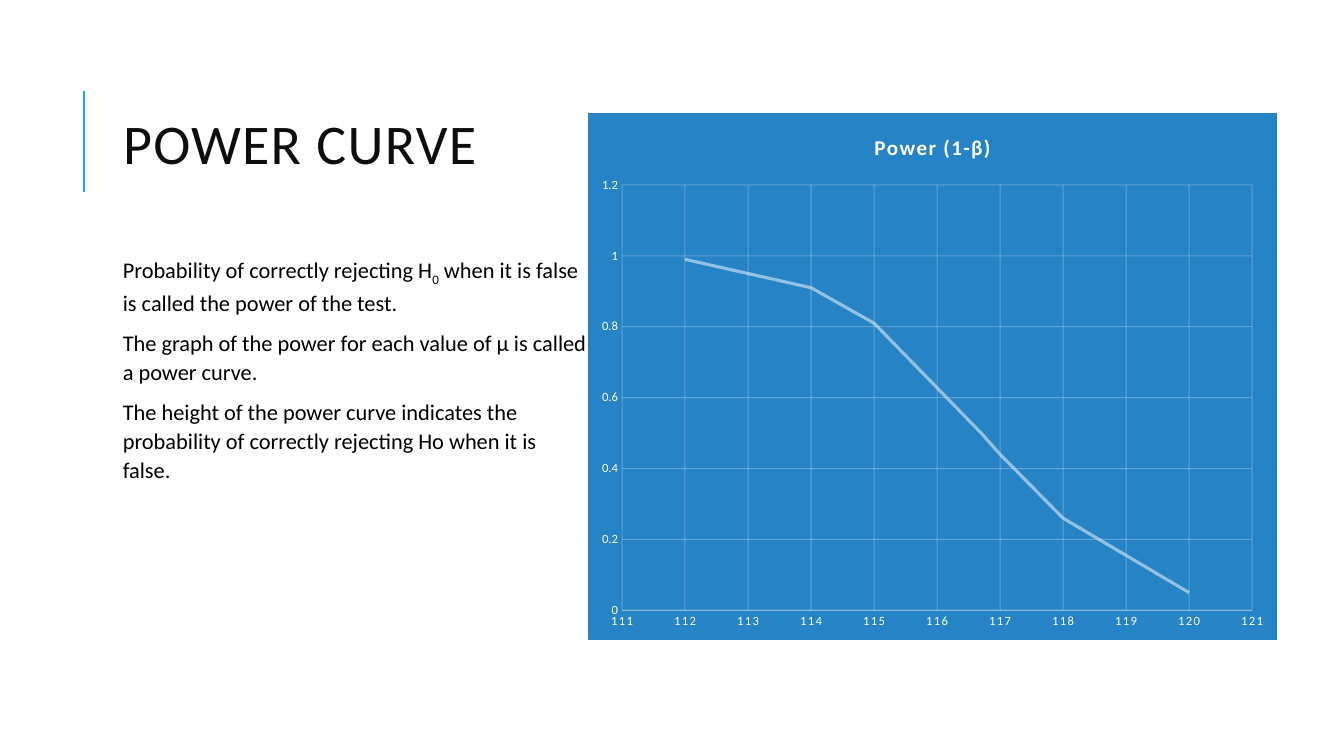
from dataclasses import dataclass

from lxml import etree
from pptx import Presentation
from pptx.chart.data import XyChartData
from pptx.dml.color import RGBColor
from pptx.enum.chart import XL_CHART_TYPE, XL_TICK_LABEL_POSITION, XL_TICK_MARK
from pptx.enum.shapes import MSO_CONNECTOR
from pptx.enum.text import MSO_ANCHOR, PP_ALIGN
from pptx.oxml import parse_xml
from pptx.oxml.ns import nsdecls, qn
from pptx.util import Emu, Pt

SMOOTH_SCATTER = XL_CHART_TYPE.XY_SCATTER_SMOOTH_NO_MARKERS
NO_TICK = XL_TICK_MARK.NONE
LOW_LABELS = XL_TICK_LABEL_POSITION.NEXT_TO_AXIS
STRAIGHT = MSO_CONNECTOR.STRAIGHT
MIDDLE, TOP = MSO_ANCHOR.MIDDLE, MSO_ANCHOR.TOP
LEFT = PP_ALIGN.LEFT
EMU_PER_PX = 9144


@dataclass(frozen=True)
class Theme:
    """Colours and type sizes of the slide."""
    font: str = "Calibri"
    accent: str = "1CADE4"
    panel: str = "2683C6"
    light: str = "FFFFFF"
    heading: str = "0D0D0D"
    ink: str = "000000"
    title_size: int = 40
    body_size: int = 16
    chart_title_size: int = 15
    label_size: int = 9


THEME = Theme()
CHART_TITLE = "Power (1-β)"
POWER_POINTS = [(112, 0.99), (114, 0.91), (115, 0.81), (116.7, 0.5),
                (117, 0.44), (118, 0.26), (120, 0.05)]
BODY = [
    [("Probability of correctly rejecting H", False), ("0", True),
     (" when it is false is called the power of the test.", False)],
    [("The graph of the power for each value of μ is called a power curve.", False)],
    [("The height of the power curve indicates the probability of correctly "
      "rejecting Ho when it is false.", False)],
]


def px(*lengths):
    """Turn px lengths into EMU."""
    return [Emu(length * EMU_PER_PX) for length in lengths]


def assign(target, values):
    """Set attributes from a dict of format values."""
    for name, value in values.items():
        setattr(target, name, value)


def style_font(font, size, color, bold=False):
    """Give a font the theme face, a size and a colour."""
    assign(font, {"name": THEME.font, "size": Pt(size), "bold": bold})
    font.color.rgb = RGBColor.from_string(color)


def style_line(line, color, width, opacity=100):
    """Give a line its colour, width and opacity in percent."""
    line.color.rgb = RGBColor.from_string(color)
    line.width = Pt(width)
    if opacity < 100:
        fill = line.fill._xPr.find(".//" + qn("a:srgbClr"))
        etree.SubElement(fill, qn("a:alpha")).set("val", str(opacity * 1000))


def add_heading(page, text):
    """Place and format the title."""
    title = page.shapes.title
    assign(title, dict(zip(("left", "top", "width", "height"), px(112, 52, 480, 190))))
    frame = title.text_frame
    assign(frame, {"text": text, "vertical_anchor": MIDDLE, "word_wrap": True})
    para = frame.paragraphs[0]
    assign(para, {"alignment": LEFT, "line_spacing": 0.8})
    span = para.runs[0]
    style_font(span.font, THEME.title_size, THEME.heading)
    span.font._element.set("spc", "100")


def add_rule(page):
    """Draw the vertical accent line beside the title."""
    rule = page.shapes.add_connector(STRAIGHT, *px(83, 190, 83, 90))
    style_line(rule.line, THEME.accent, 1.5)
    etree.SubElement(rule._element.spPr, qn("a:effectLst"))


def add_body(page, paragraphs):
    """Write the explanation, with subscripts where marked."""
    frame = page.shapes.add_textbox(*px(112, 247, 480, 411)).text_frame
    assign(frame, {"word_wrap": True, "vertical_anchor": TOP})
    for index, pieces in enumerate(paragraphs):
        para = frame.add_paragraph() if index else frame.paragraphs[0]
        assign(para, {"line_spacing": 1.08, "space_before": Pt(6), "space_after": Pt(2)})
        for text, subscript in pieces:
            span = para.add_run()
            span.text = text
            style_font(span.font, THEME.body_size, THEME.ink)
            if subscript:
                span.font._element.set("baseline", "-25000")


def style_axis(axis, low, high, step):
    """Set the scale, labels and grid of an axis."""
    assign(axis, {"minimum_scale": low, "maximum_scale": high, "major_unit": step,
                  "major_tick_mark": NO_TICK, "minor_tick_mark": NO_TICK,
                  "tick_label_position": LOW_LABELS, "has_major_gridlines": True})
    assign(axis.tick_labels, {"number_format": "General", "number_format_is_linked": False})
    style_font(axis.tick_labels.font, THEME.label_size, THEME.light)
    style_line(axis.major_gridlines.format.line, THEME.light, 0.75, 25)


def fill_chart(chart, color):
    """Fill and frame the square-cornered chart area."""
    space = chart._chartSpace
    solid = f'<a:solidFill><a:srgbClr val="{color}"/></a:solidFill>'
    space.find(qn("c:chart")).addnext(parse_xml(
        f'<c:spPr {nsdecls("c", "a")}>{solid}<a:ln w="9525">{solid}</a:ln></c:spPr>'))
    corners = parse_xml(f'<c:roundedCorners {nsdecls("c")} val="0"/>')
    date_flag = space.find(qn("c:date1904"))
    if date_flag is None:
        space.insert(0, corners)
    else:
        date_flag.addnext(corners)


def add_power_chart(page, points):
    """Plot the power curve."""
    data = XyChartData()
    curve = data.add_series(CHART_TITLE)
    for mean, power in points:
        curve.add_data_point(mean, power)
    chart = page.shapes.add_chart(SMOOTH_SCATTER, *px(583, 112, 684, 523), data).chart
    assign(chart, {"has_legend": False, "has_title": True})
    style_font(chart.font, 10, THEME.ink)
    fill_chart(chart, THEME.panel)
    frame = chart.chart_title.text_frame
    frame.text = CHART_TITLE
    span = frame.paragraphs[0].runs[0]
    style_font(span.font, THEME.chart_title_size, THEME.light, True)
    span.font._element.set("spc", "100")
    chart.chart_title.include_in_layout = False
    style_axis(chart.category_axis, 111, 121, 1)
    style_axis(chart.value_axis, 0, 1.2, 0.2)
    chart.category_axis.tick_labels.font._element.set("spc", "100")
    style_line(chart.category_axis.format.line, THEME.light, 1, 25)
    chart.value_axis.format.line.fill.background()
    plot = chart.plots[0]
    plot.vary_by_categories = False
    series = plot.series[0]
    series.smooth = True
    style_line(series.format.line, THEME.light, 2.25, 50)


def main():
    """Build and save the slide."""
    deck = Presentation()
    assign(deck, dict(zip(("slide_width", "slide_height"), px(1333, 750))))
    page = deck.slides.add_slide(deck.slide_layouts[5])
    add_rule(page)
    add_heading(page, "POWER CURVE")
    add_body(page, BODY)
    add_power_chart(page, POWER_POINTS)
    deck.save("out.pptx")


if __name__ == "__main__":
    main()
